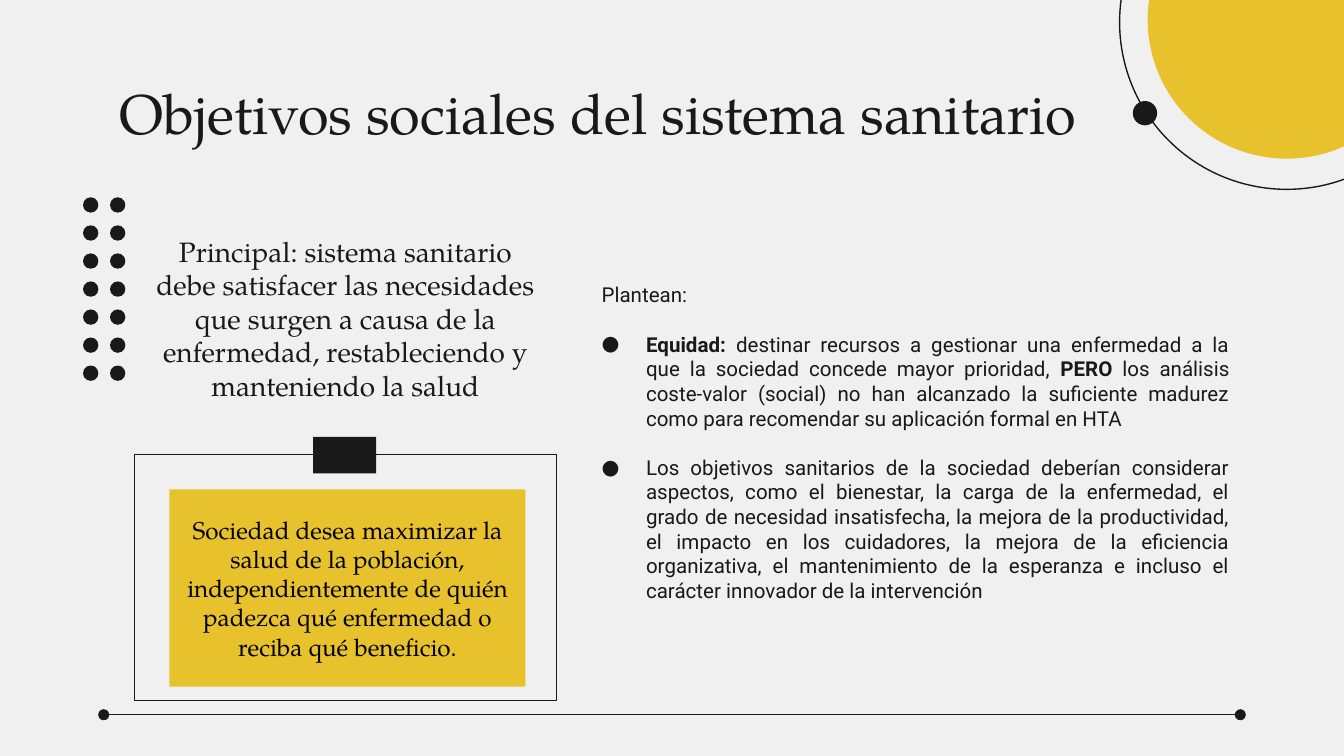
from lxml import etree
from pptx import Presentation
from pptx.dml.color import RGBColor
from pptx.enum.shapes import MSO_CONNECTOR, MSO_SHAPE
from pptx.enum.text import MSO_ANCHOR, PP_ALIGN
from pptx.oxml.ns import qn
from pptx.util import Cm, Pt

OVAL, RECTANGLE = MSO_SHAPE.OVAL, MSO_SHAPE.RECTANGLE
STRAIGHT = MSO_CONNECTOR.STRAIGHT
TOP, MIDDLE, BOTTOM = MSO_ANCHOR.TOP, MSO_ANCHOR.MIDDLE, MSO_ANCHOR.BOTTOM
LEFT, CENTER, JUSTIFY = PP_ALIGN.LEFT, PP_ALIGN.CENTER, PP_ALIGN.JUSTIFY

THEME = {
    "paper": RGBColor(0xF0, 0xF0, 0xF0),
    "ink": RGBColor(0x19, 0x19, 0x19),
    "black": RGBColor(0, 0, 0),
    "accent": RGBColor(0xE7, 0xC2, 0x2C),
    "serif": "TeX Gyre Pagella",
    "sans": "Roboto",
    "title": Pt(30),
    "lead": Pt(15),
    "card": Pt(13),
    "body": Pt(11),
    "body_line": Pt(13.2),
    "stroke": Pt(0.75),
}

TITLE = "Objetivos sociales del sistema sanitario"
MAIN_GOAL = (
    "Principal: sistema sanitario debe satisfacer las necesidades que surgen "
    "a causa de la enfermedad, restableciendo y manteniendo la salud"
)
SOCIETY_WISH = (
    "Sociedad desea maximizar la salud de la población, independientemente "
    "de quién padezca qué enfermedad o reciba qué beneficio."
)
INTRO = "Plantean:"
# Each point is a list of (text, bold) spans.
POINTS = [
    [
        ("Equidad: ", True),
        ("destinar recursos a gestionar una enfermedad a la que la sociedad "
         "concede mayor prioridad, ", False),
        ("PERO", True),
        (" los análisis coste-valor (social) no han alcanzado la suficiente "
         "madurez como para recomendar su aplicación formal en HTA", False),
    ],
    [
        ("Los objetivos sanitarios de la sociedad deberían considerar aspectos, "
         "como el bienestar, la carga de la enfermedad, el grado de necesidad "
         "insatisfecha, la mejora de la productividad, el impacto en los "
         "cuidadores, la mejora de la eficiencia organizativa, el mantenimiento "
         "de la esperanza e incluso el carácter innovador de la intervención",
         False),
    ],
]

# Left, top, width, height in centimetres.
TITLE_BOX = (2.01, 1.24, 21.41, 1.6)
MAIN_GOAL_BOX = (2.54, 3.4, 7.98, 4.45)
BODY_BOX = (10.69, 4.62, 12.8, 7.7)
RING = (21.16, -2.74, 6.32, 6.32)
RING_DOT = (21.41, 1.91, 0.46, 0.46)
DISC = (21.69, -2.26, 5.26, 5.26)
FRAME = (2.54, 8.59, 7.98, 4.65)
TAB = (5.92, 8.26, 1.19, 0.69)
CARD = (3.2, 9.25, 6.73, 3.73)
BASELINE = (1.96, 13.51, 23.44, 13.51)
DOTS = {"left": 1.57, "top": 3.73, "size": 0.29, "rows": 7, "columns": 2,
        "step_x": 0.51, "step_y": 0.53}
INSET = 0.25


def set_all(target, values):
    for name, value in values.items():
        setattr(target, name, value)


def add_shape(shapes, kind, box, fill=None, line=None):
    shape = shapes.add_shape(kind, *map(Cm, box))
    shape.shadow.inherit = False
    if fill is None:
        shape.fill.background()
    else:
        shape.fill.solid()
        shape.fill.fore_color.rgb = fill
    if line is None:
        shape.line.fill.background()
    else:
        shape.line.color.rgb = line
        shape.line.width = THEME["stroke"]
    return shape


def prepare_frame(shape, anchor=TOP, top_inset=Cm(INSET)):
    frame = shape.text_frame
    set_all(frame, {
        "word_wrap": True, "vertical_anchor": anchor, "margin_top": top_inset,
        "margin_left": Cm(INSET), "margin_right": Cm(INSET),
        "margin_bottom": Cm(INSET),
    })
    return frame


def add_span(para, text, size, font, color, bold=False):
    span = para.add_run()
    span.text = text
    set_all(span.font, {"size": size, "name": font, "bold": bold})
    span.font.color.rgb = color


def write_serif(shape, text, size, align, anchor, color=THEME["ink"]):
    para = prepare_frame(shape, anchor).paragraphs[0]
    para.alignment = align
    add_span(para, text, size, THEME["serif"], color)


def set_indent(para, margin, indent=0, bullet=None):
    """Set the margin and hanging indent in cm, with an optional bullet."""
    props = para._p.get_or_add_pPr()
    props.set("marL", str(Cm(margin)))
    props.set("indent", str(Cm(indent)))
    if bullet:
        color = etree.SubElement(props, qn("a:buClr"))
        etree.SubElement(color, qn("a:srgbClr"), val=str(THEME["ink"]))
        etree.SubElement(props, qn("a:buFont"), typeface=THEME["sans"])
        etree.SubElement(props, qn("a:buChar"), char=bullet)


def add_body(shapes):
    box = shapes.add_textbox(*map(Cm, BODY_BOX))
    frame = prepare_frame(box, top_inset=Cm(INSET) + THEME["body_line"])
    for index, spans in enumerate([[(INTRO, False)], *POINTS]):
        if index == 0:
            para = frame.paragraphs[0]
            set_indent(para, 0.43)
        else:
            para = frame.add_paragraph()
            para.space_before = THEME["body_line"]
            set_indent(para, 1.27, -0.84, "●")
        para.alignment = JUSTIFY
        for text, bold in spans:
            add_span(para, text, THEME["body"], THEME["sans"], THEME["ink"], bold)


def add_baseline(shapes):
    rule = shapes.add_connector(STRAIGHT, *map(Cm, BASELINE))
    rule.line.color.rgb = THEME["ink"]
    rule.line.width = THEME["stroke"]
    line = rule.line._get_or_add_ln()
    for end in ("a:headEnd", "a:tailEnd"):
        etree.SubElement(line, qn(end), type="oval", w="med", len="med")
    etree.SubElement(rule._element.spPr, qn("a:effectLst"))


def add_dots(shapes):
    for row in range(DOTS["rows"]):
        for column in range(DOTS["columns"]):
            left = DOTS["left"] + column * DOTS["step_x"]
            top = DOTS["top"] + row * DOTS["step_y"]
            add_shape(shapes, OVAL, (left, top, DOTS["size"], DOTS["size"]),
                      THEME["ink"])


def main():
    deck = Presentation()
    set_all(deck, {"slide_width": Cm(25.4), "slide_height": Cm(14.29)})
    page = deck.slides.add_slide(deck.slide_layouts[6])
    page.background.fill.solid()
    page.background.fill.fore_color.rgb = THEME["paper"]
    shapes = page.shapes

    title = shapes.add_textbox(*map(Cm, TITLE_BOX))
    write_serif(title, TITLE, THEME["title"], LEFT, TOP)
    add_body(shapes)

    orbit = shapes.add_group_shape().shapes
    add_shape(orbit, OVAL, RING, line=THEME["ink"])
    add_shape(orbit, OVAL, RING_DOT, THEME["ink"])
    add_shape(shapes, OVAL, DISC, THEME["accent"])
    add_baseline(shapes)
    add_dots(shapes.add_group_shape().shapes)

    goal = shapes.add_textbox(*map(Cm, MAIN_GOAL_BOX))
    write_serif(goal, MAIN_GOAL, THEME["lead"], CENTER, BOTTOM)

    note = shapes.add_group_shape().shapes
    add_shape(note, RECTANGLE, FRAME, line=THEME["ink"])
    add_shape(note, RECTANGLE, TAB, THEME["ink"])
    card = add_shape(note, RECTANGLE, CARD, THEME["accent"])
    write_serif(card, SOCIETY_WISH, THEME["card"], CENTER, MIDDLE, THEME["black"])

    deck.save("out.pptx")


if __name__ == "__main__":
    main()
